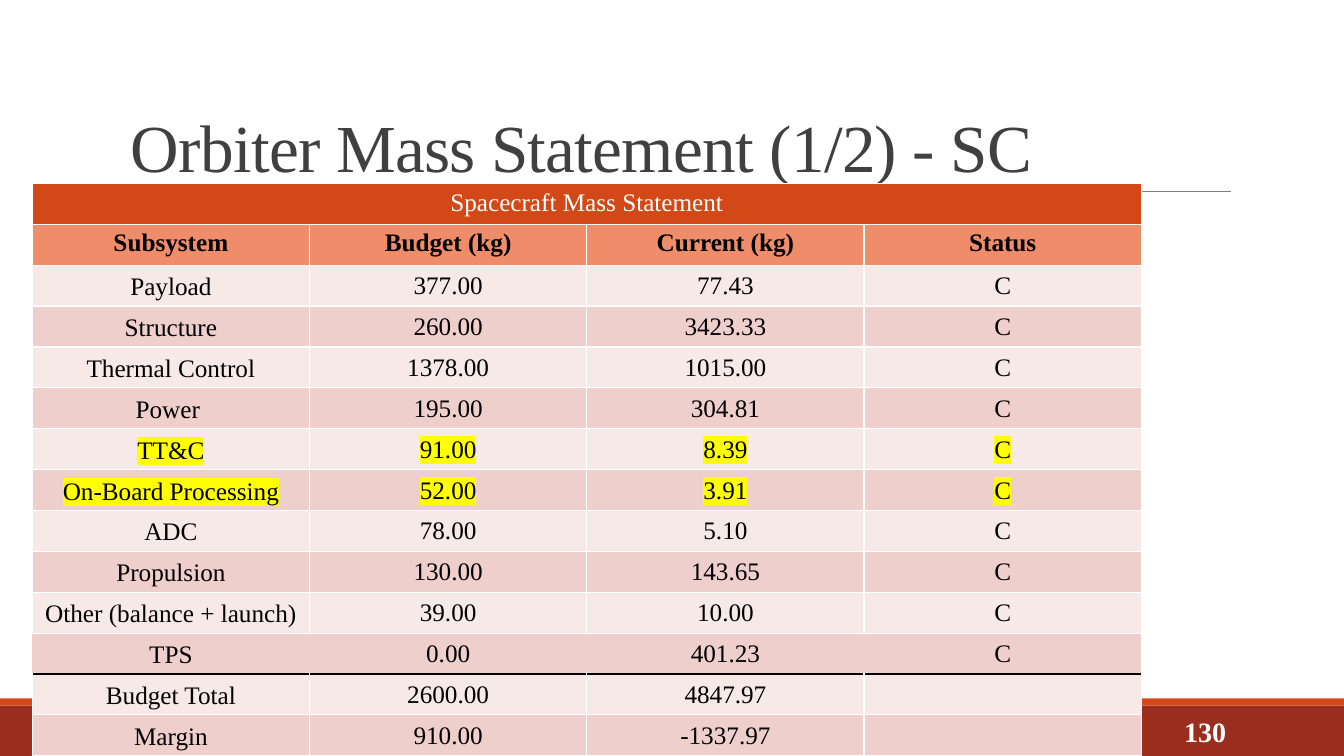
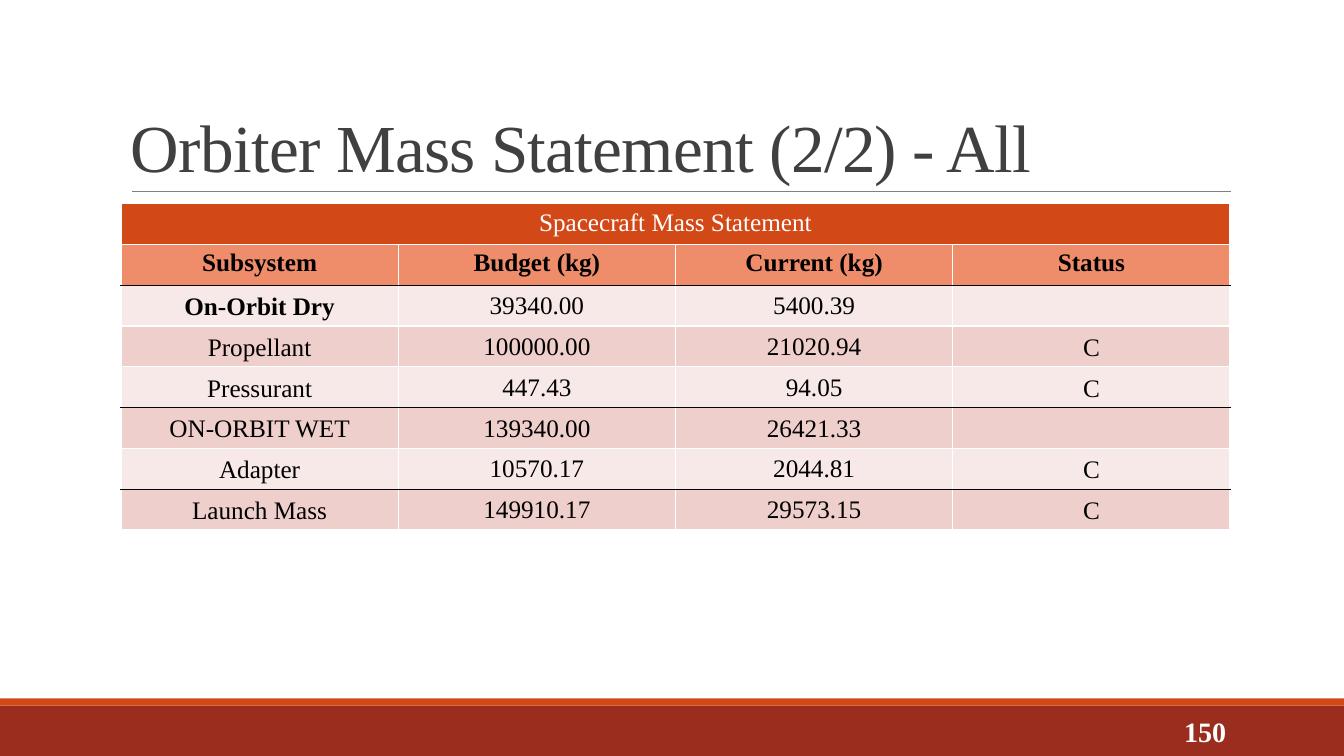
from lxml import etree
from pptx import Presentation
from pptx.dml.color import RGBColor
from pptx.enum import shapes, text
from pptx.oxml import ns
from pptx.util import Inches, Pt

FONT = "Times New Roman"
COLORS = {
    "band": "9B2D1F", "accent": "D34817", "rule": "808080", "title": "404040",
    "heading": "EF8C6A", "light_row": "F7E9E8", "dark_row": "EFCFCC",
    "white": "FFFFFF", "black": "000000", "highlight": "FFFF00",
}
NO_TABLE_STYLE = "{2D5ABB26-0587-4C30-8999-92F81FD0307C}"
TABLE_TITLE = "Spacecraft Mass Statement"
HEADINGS = ("Subsystem", "Budget (kg)", "Current (kg)", "Status")

SPACECRAFT_ROWS = [
    ("Payload", "377.00", "77.43", "C"),
    ("Structure", "260.00", "3423.33", "C"),
    ("Thermal Control", "1378.00", "1015.00", "C"),
    ("Power ", "195.00", "304.81", "C"),
    ("TT&C", "91.00", "8.39", "C"),
    ("On-Board Processing", "52.00", "3.91", "C"),
    ("ADC", "78.00", "5.10", "C"),
    ("Propulsion", "130.00", "143.65", "C"),
    ("Other (balance + launch)", "39.00", "10.00", "C"),
    ("TPS", "0.00", "401.23", "C"),
    ("Budget Total", "2600.00", "4847.97", ""),
    ("Margin", "910.00", "-1337.97", ""),
]
ALL_ROWS = [
    ("On-Orbit Dry", "39340.00", "5400.39", ""),
    ("Propellant", "100000.00", "21020.94", "C"),
    ("Pressurant", "447.43", "94.05", "C"),
    ("ON-ORBIT WET", "139340.00", "26421.33", ""),
    ("Adapter", "10570.17", "2044.81", "C"),
    ("Launch Mass", "149910.17", "29573.15", "C"),
]


def rgb(name):
    return RGBColor.from_string(COLORS[name])


def add_run(paragraph, words, size, color, bold=False, highlighted=False):
    run = paragraph.add_run()
    run.text = words
    run.font.size = Pt(size)
    run.font.bold = bold
    run.font.color.rgb = rgb(color)
    if highlighted:
        marker = etree.SubElement(run.font._element, ns.qn("a:highlight"))
        etree.SubElement(marker, ns.qn("a:srgbClr"), val=COLORS["highlight"])
    run.font.name = FONT
    return run


def add_band(slide, top, height, color):
    band = slide.shapes.add_shape(
        shapes.MSO_SHAPE.RECTANGLE, 0, Inches(top), Inches(13.33), Inches(height))
    band.shadow.inherit = False
    band.fill.solid()
    band.fill.fore_color.rgb = rgb(color)
    band.line.fill.background()


def add_text_frame(slide, left, top, width, height, anchor):
    frame = slide.shapes.add_textbox(
        Inches(left), Inches(top), Inches(width), Inches(height)).text_frame
    frame.word_wrap = True
    frame.vertical_anchor = anchor
    return frame


def add_title(slide, words):
    rule = slide.shapes.add_connector(
        shapes.MSO_CONNECTOR.STRAIGHT, Inches(1.31), Inches(1.9), Inches(12.21), Inches(1.9))
    rule.line.color.rgb = rgb("rule")
    rule.line.width = Pt(0.5)
    etree.SubElement(rule._element.spPr, ns.qn("a:effectLst"))

    frame = add_text_frame(slide, 1.2, 0.31, 11, 1.59, text.MSO_ANCHOR.BOTTOM)
    paragraph = frame.paragraphs[0]
    paragraph.line_spacing = 0.85
    run = add_run(paragraph, words, 48, "title")
    run.font._element.set("spc", "-50")


def add_footer(slide, page):
    add_band(slide, 7, 0.5, "band")
    add_band(slide, 6.93, 0.07, "accent")
    frame = add_text_frame(slide, 10.83, 7.06, 1.43, 0.4, text.MSO_ANCHOR.MIDDLE)
    frame.paragraphs[0].alignment = text.PP_ALIGN.RIGHT
    add_run(frame.paragraphs[0], page, 20, "white", bold=True)


def set_borders(cell, sides):
    """Draw 1 pt borders; sides maps L, R, T, B, in that order, to colour names."""
    properties = cell._tc.get_or_add_tcPr()
    for side, color in sides.items():
        border = etree.SubElement(properties, ns.qn(f"a:ln{side}"), w=str(Pt(1)))
        fill = etree.SubElement(border, ns.qn("a:solidFill"))
        etree.SubElement(fill, ns.qn("a:srgbClr"), val=COLORS[color])


def row_borders(row, ruled_above, open_row):
    """Give a row's borders: black at ruled rows, and none around open_row."""
    top = "black" if row in ruled_above else "white"
    bottom = "black" if row + 1 in ruled_above else "white"
    if row == open_row:
        return {"B": bottom}
    sides = {"L": "white", "R": "white", "T": top, "B": bottom}
    if row + 1 == open_row:
        del sides["B"]
    return sides


def add_mass_table(slide, left, top, height, body, ruled_above, low_columns,
                   bold_label=None, highlighted=(), open_row=None):
    """Row numbers count from the table title; low_columns sit at the cell bottom."""
    rows = [(TABLE_TITLE, "", "", ""), HEADINGS, *body]
    frame = slide.shapes.add_table(
        len(rows), len(HEADINGS), Inches(left), Inches(top), Inches(11), Inches(height))
    table = frame.table
    table._tbl.tblPr.find(ns.qn("a:tableStyleId")).text = NO_TABLE_STYLE
    table.first_row = table.horz_banding = False
    table.cell(0, 0).merge(table.cell(0, len(HEADINGS) - 1))

    for r, values in enumerate(rows):
        table.rows[r].height = int(Inches(height) / len(rows))
        row_fill = ("accent", "heading")[r] if r < 2 else ("light_row", "dark_row")[r % 2]
        for c, value in enumerate(values):
            cell = table.cell(r, c)
            if r >= 2:
                low = c in low_columns
                cell.margin_left = cell.margin_right = cell.margin_top = Inches(0.01)
                cell.margin_bottom = Inches(0.05 if low else 0)
                cell.vertical_anchor = text.MSO_ANCHOR.BOTTOM if low else text.MSO_ANCHOR.MIDDLE
            set_borders(cell, row_borders(r, ruled_above, open_row))
            cell.fill.solid()
            cell.fill.fore_color.rgb = rgb(row_fill)
            if value:
                paragraph = cell.text_frame.paragraphs[0]
                paragraph.alignment = text.PP_ALIGN.CENTER
                add_run(paragraph, value, 18, "white" if r == 0 else "black",
                        bold=r == 1 or value == bold_label,
                        highlighted=values[0] in highlighted)


def add_mass_slide(deck, title, page, **table_options):
    slide = deck.slides.add_slide(deck.slide_layouts[6])
    add_footer(slide, page)
    add_title(slide, title)
    add_mass_table(slide, **table_options)


def main():
    deck = Presentation()
    deck.slide_width, deck.slide_height = Inches(13.33), Inches(7.5)
    add_mass_slide(
        deck, "Orbiter Mass Statement (1/2) - SC", "130",
        left=0.32, top=1.82, height=5.68, body=SPACECRAFT_ROWS, ruled_above={12},
        low_columns={0}, highlighted=("TT&C", "On-Board Processing"), open_row=11)
    add_mass_slide(
        deck, "Orbiter Mass Statement (2/2) - All", "150",
        left=1.2, top=2.02, height=3.24, body=ALL_ROWS, ruled_above={2, 5, 7},
        low_columns={0, 3}, bold_label="On-Orbit Dry")
    deck.save("out.pptx")


if __name__ == "__main__":
    main()
